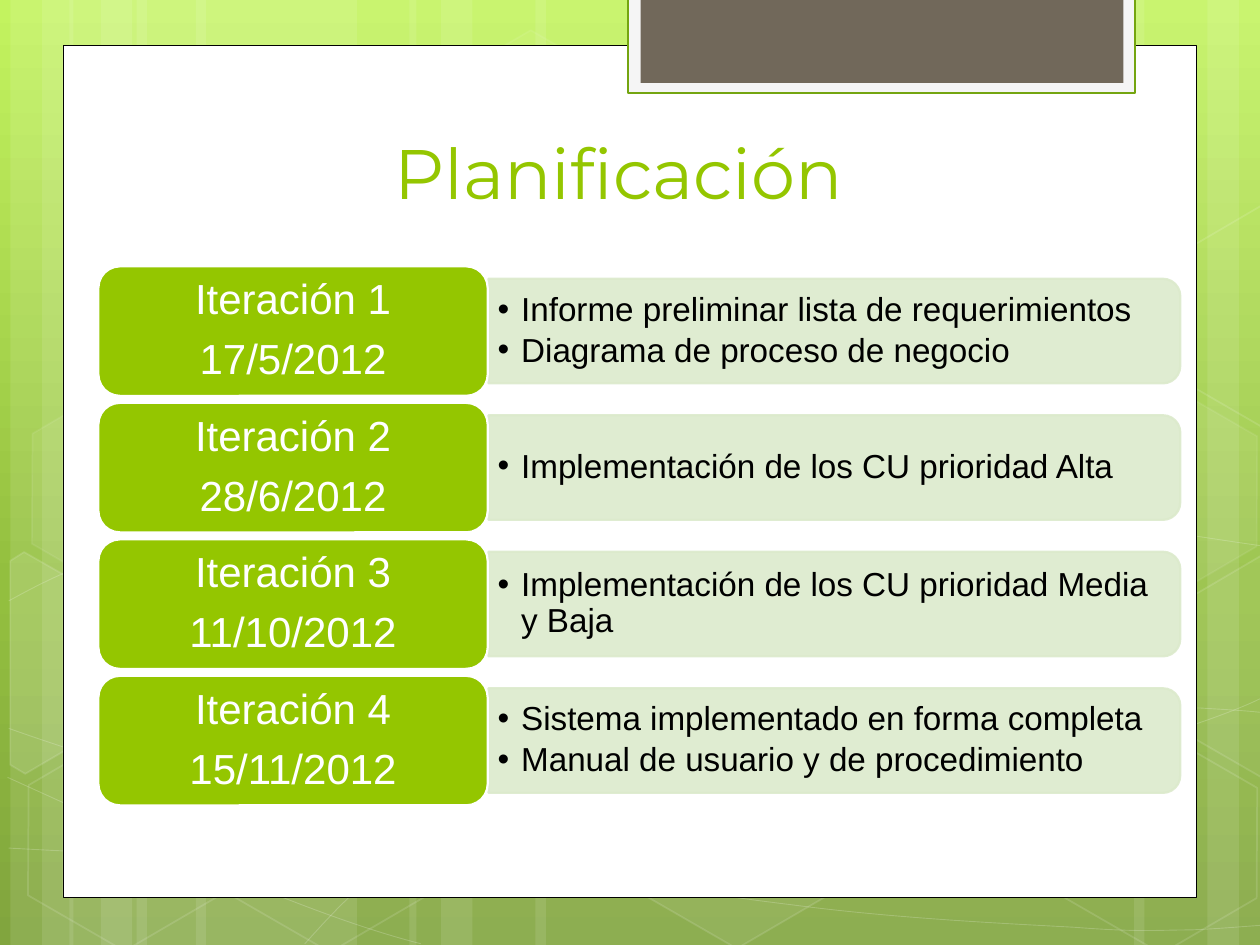
import copy
import math

import lxml.etree
import pptx
import pptx.dml.color
import pptx.enum.shapes
import pptx.enum.text
import pptx.oxml.ns
import pptx.util

Pt = pptx.util.Pt
qn = pptx.oxml.ns.qn
SHAPES = pptx.enum.shapes.MSO_SHAPE
ALIGN = pptx.enum.text.PP_ALIGN
ANCHOR = pptx.enum.text.MSO_ANCHOR

TITLE = "Planificación "
ITERATIONS = [
    ("Iteración 1", "17/5/2012",
     ["Informe preliminar lista de requerimientos", "Diagrama de proceso de negocio"]),
    ("Iteración 2", "28/6/2012", ["Implementación de los CU prioridad Alta"]),
    ("Iteración 3", "11/10/2012", ["Implementación de los CU prioridad Media y Baja"]),
    ("Iteración 4", "15/11/2012",
     ["Sistema implementado en forma completa", "Manual de usuario y de procedimiento"]),
]

GREEN, PALE, WHITE, BLACK = "94C600", "DCEACC", "FFFFFF", "000000"
BACKGROUND = [(0, "C3F35F"), (0.62, "93BF3F"), (1, "81A53E")]

STRIPES = [(78, 126), (6, 36), (24, 60), (112, 126), (39.6, 36), (57.6, 60),
           (528, 126), (690, 36), (648, 60), (306, 222), (234, 36), (252, 60)]

CURVES = [
    [(5, 484.6), (43.9, 486.7), (82.8, 488.9), (136.8, 488.2),
     (190.8, 487.4), (257.8, 486), (329.8, 478.8), (401.8, 471.6), (504, 457.9), (570.2, 444.2),
     (635.8, 430.6), (703.4, 409), (725, 396.7)],
    [(5, 343.4), (25.9, 331.9), (46.8, 321.1), (87.1, 310.3),
     (128.2, 299.5), (186.5, 283.7), (249.8, 278.6), (313.9, 273.6), (391.7, 272.9),
     (470.9, 278.6), (550.1, 284.4), (681.8, 306.7), (725, 312.5)],
    [(4.3, 444.2), (91.4, 483.8), (177.8, 523.4), (240.5, 539.3)],
    [(5, 416.2), (27.4, 424.1), (50.4, 432), (92.2, 443.5),
     (133.9, 454.3), (196.6, 472.3), (257, 484.6), (316.8, 496.8), (392.4, 509.8), (452.2, 517),
     (511.9, 524.9), (576, 527.8), (614.2, 529.9), (651.6, 532.8), (661.7, 531.4),
     (680.4, 531.4), (699.1, 530.6), (712.1, 529.2), (725, 528.5)],
    [(174.2, 539.3), (187.2, 524.9), (200.2, 510.5), (217.4, 497.5),
     (234.7, 484.6), (259.2, 470.2), (279.4, 460.1), (299.5, 450), (311.8, 445.7),
     (338.4, 438.5), (364.3, 431.3), (412.6, 421.2), (437.8, 416.2), (463.7, 411.1),
     (467.3, 411.1), (489.6, 409.7), (511.9, 407.5), (547.2, 405.4), (571.7, 404.6),
     (596.9, 403.9), (637.9, 404.6), (637.9, 404.6), (654, 404.6), (670, 404.6), (686.2, 404.6),
     (699.1, 405.4), (711.4, 406.1), (717.8, 406.8), (724.3, 407.5), (722.2, 406.8),
     (724.3, 407.5)],
]

HEXAGONS = [(240.5, 25.9, 4, 8), (357.8, 424.1, 6, 12), (7.9, 425.5, 0, 12),
            (10.1, 224.6, 7, 8), (125.3, 426.2, 0, 12), (542.2, 326.2, 10, 12),
            (600.5, 427, 0, 12), (600.5, 226.1, 7, 8)]

CUT_HEXAGONS = [
    ([(5.8, 320.4), (13.7, 315.4), (69.1, 347), (68.4, 410.4), (14.4, 442.1), (5.8, 437)],
     (25.9, 385.2), 10),
    ([(666.7, 349.2), (720.7, 317.5), (726.5, 321.1), (726.5, 441.4), (721.4, 444.2),
      (666.7, 412.6)], (709.2, 374.4), 4),
    ([(666.7, 149), (720.7, 117.4), (727.2, 121), (726.5, 241.2), (721.4, 244.1),
      (666.7, 212.4)], (709.2, 173.5), 0),
]

PANELS = [((36, 25.9, 648, 487), WHITE, BLACK, 0.5),
          ((359, -1.4, 289.6, 54.7), "F5F5F5", "74A510", 1.25),
          ((366, -1.4, 276, 48.8), "71685A", None, 0)]

FIRST_CENTER, PITCH = 189.2, 78
CARD_LEFT, CARD_WIDTH, CARD_HEIGHT, CARD_INSET = 56.2, 222.5, 74, 3.6
BAR_CENTER, BAR_LENGTH, BAR_HEIGHT = 476.8, 395.3, 59.8
LIST_LEFT, LIST_WIDTH, LIST_HEIGHT = 278.6, 392.4, 53.3


def color(value):
    return pptx.dml.color.RGBColor.from_string(value)


def set_alpha(parent, percent):
    if percent < 100:
        for tint in parent.iter(qn("a:srgbClr")):
            lxml.etree.SubElement(tint, qn("a:alpha")).set("val", str(percent * 1000))


def paint(shape, fill=None, fill_alpha=100, line=None, width=1, line_alpha=100):
    shape.shadow.inherit = False
    properties = shape.element.spPr
    if fill and fill_alpha:
        shape.fill.solid()
        shape.fill.fore_color.rgb = color(fill)
        set_alpha(properties.find(qn("a:solidFill")), fill_alpha)
    else:
        shape.fill.background()
    if line:
        shape.line.color.rgb = color(line)
        shape.line.width = Pt(width)
        set_alpha(properties.find(qn("a:ln")), line_alpha)
    else:
        shape.line.fill.background()


def add_shape(page, kind, place, **style):
    shape = page.shapes.add_shape(kind, *map(Pt, place))
    paint(shape, **style)
    return shape


def add_outline(page, points, close, **style):
    corners = [(Pt(x), Pt(y)) for x, y in points]
    builder = page.shapes.build_freeform(*corners[0])
    builder.add_line_segments(corners[1:], close=close)
    shape = builder.convert_to_shape()
    paint(shape, **style)
    return shape


def bend(shape):
    segments = list(shape.element.iter(qn("a:lnTo")))
    for start in range(0, len(segments), 3):
        curve = lxml.etree.Element(qn("a:cubicBezTo"))
        segments[start].addprevious(curve)
        for segment in segments[start:start + 3]:
            curve.append(segment[0])
            segment.getparent().remove(segment)


def turn(points, center, degrees):
    cos, sin = math.cos(math.radians(degrees)), math.sin(math.radians(degrees))
    offsets = [(x - center[0], y - center[1]) for x, y in points]
    return [(center[0] + x * cos - y * sin, center[1] + x * sin + y * cos) for x, y in offsets]


def add_text(page, place, lines, size, font, ink, align=ALIGN.LEFT, anchor=ANCHOR.MIDDLE,
             insets=(7.2, 3.6), spacing=1, after=0, bullet=False):
    frame = page.shapes.add_textbox(*map(Pt, place)).text_frame
    frame.word_wrap = True
    frame.vertical_anchor = anchor
    frame.margin_left = frame.margin_right = Pt(insets[0])
    frame.margin_top = frame.margin_bottom = Pt(insets[1])
    for index, line in enumerate(lines):
        para = frame.add_paragraph() if index else frame.paragraphs[0]
        para.alignment = align
        para.line_spacing = spacing
        para.space_after = Pt(after)
        span = para.add_run()
        span.text = line
        span.font.size = Pt(size)
        span.font.name = font
        span.font.color.rgb = color(ink)
        if bullet:
            para.level = 1
            properties = para._p.get_or_add_pPr()
            properties.set("marL", str(Pt(13.5)))
            properties.set("indent", str(-Pt(13.5)))
            lxml.etree.SubElement(properties, qn("a:buFont")).set("typeface", font)
            lxml.etree.SubElement(properties, qn("a:buChar")).set("char", "•")


def add_background(page):
    fill = page.background.fill
    fill.gradient()
    fill.gradient_angle = 270
    stops = next(page.element.iter(qn("a:gsLst")))
    stops.append(copy.deepcopy(stops[-1]))
    for stop, (position, tint) in zip(fill.gradient_stops, BACKGROUND):
        stop.position = position
        stop.color.rgb = color(tint)


def add_decoration(page):
    for left, width in STRIPES:
        add_shape(page, SHAPES.RECTANGLE, (left, 0, width, 540), fill=WHITE, fill_alpha=10)
    for curve in CURVES:
        bend(add_outline(page, curve, False, line=WHITE, width=0.5, line_alpha=20))
    for left, top, fill_alpha, line_alpha in HEXAGONS:
        hexagon = add_shape(page, SHAPES.HEXAGON, (left, top, 126, 109.4), fill=WHITE,
                            fill_alpha=fill_alpha, line=WHITE, line_alpha=line_alpha)
        hexagon.adjustments[0] = 0.285
        hexagon.rotation = 30
    for points, center, fill_alpha in CUT_HEXAGONS:
        outline = add_outline(page, turn(points, center, -30), True, fill=WHITE,
                              fill_alpha=fill_alpha, line=WHITE, line_alpha=12)
        outline.rotation = 30
    for place, fill, line, width in PANELS:
        add_shape(page, SHAPES.RECTANGLE, place, fill=fill, line=line, width=width)


def add_iteration(page, center, name, date, tasks):
    bar = add_shape(page, SHAPES.ROUND_2_SAME_RECTANGLE,
                    (BAR_CENTER - BAR_HEIGHT / 2, center - BAR_LENGTH / 2, BAR_HEIGHT, BAR_LENGTH),
                    fill=PALE, fill_alpha=90, line=PALE, width=1.25, line_alpha=90)
    bar.rotation = 90
    add_text(page, (LIST_LEFT, center - LIST_HEIGHT / 2, LIST_WIDTH, LIST_HEIGHT), tasks,
             size=19, font="Arial", ink=BLACK, insets=(5.76, 2.88), spacing=0.9, after=2.85,
             bullet=True)
    top = center - CARD_HEIGHT / 2
    add_shape(page, SHAPES.ROUNDED_RECTANGLE, (CARD_LEFT, top, CARD_WIDTH, CARD_HEIGHT),
              fill=GREEN, line=WHITE, width=1.25)
    add_text(page, (CARD_LEFT + CARD_INSET, top + CARD_INSET,
                    CARD_WIDTH - 2 * CARD_INSET, CARD_HEIGHT - 2 * CARD_INSET), [name, date],
             size=24, font="Arial", ink=WHITE, align=ALIGN.CENTER, spacing=0.9, after=8.4)


def main():
    deck = pptx.Presentation()
    deck.slide_width, deck.slide_height = Pt(720), Pt(540)
    page = deck.slides.add_slide(deck.slide_layouts[6])
    add_background(page)
    add_decoration(page)
    add_text(page, (82, 65.8, 553, 59.8), [TITLE], size=40, font="Montserrat", ink=GREEN,
             align=ALIGN.CENTER, anchor=ANCHOR.BOTTOM)
    for index, iteration in enumerate(ITERATIONS):
        add_iteration(page, FIRST_CENTER + index * PITCH, *iteration)
    deck.save("out.pptx")


if __name__ == "__main__":
    main()
